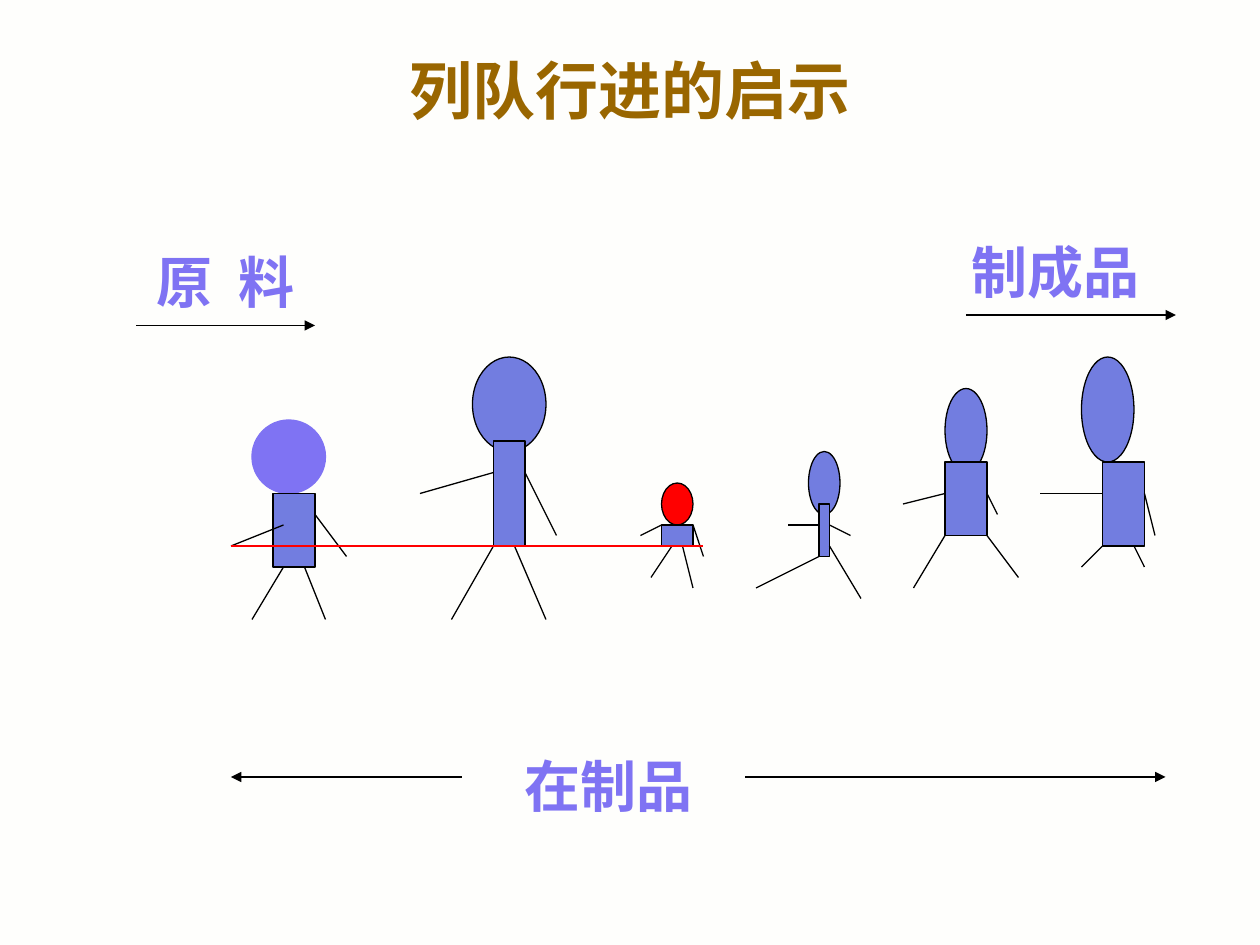
import pptx
import pptx.util
from pptx.dml.color import RGBColor
from pptx.enum.shapes import MSO_CONNECTOR, MSO_SHAPE
from pptx.enum.text import MSO_ANCHOR, MSO_AUTO_SIZE, PP_ALIGN
from pptx.oxml.ns import qn
from lxml import etree

COLS = 120
FONT = "Times New Roman"
PAPER = RGBColor(0xFE, 0xFE, 0xFC)
BROWN = RGBColor(0x99, 0x66, 0x00)
VIOLET = RGBColor(0x7F, 0x73, 0xF3)
BLUE = RGBColor(0x72, 0x7D, 0xE0)
RED = RGBColor(0xFF, 0x00, 0x00)
BLACK = RGBColor(0x00, 0x00, 0x00)

# Body box in grid cells; head box and limb ends count from the body's corner.
# Limbs: two legs, then two arms.
WALKERS = [
    dict(body=(26, 47, 4, 7), head=(-2, -7, 7, 7), fill=VIOLET, outline=VIOLET,
         limbs=[(1, 7, -2, 12), (3, 7, 5, 12), (1, 3, -4, 5), (4, 2, 7, 6)]),
    dict(body=(47, 42, 3, 10), head=(-2, -8, 7, 9),
         limbs=[(0, 10, -4, 17), (2, 10, 5, 17), (0, 3, -7, 5), (3, 3, 6, 9)]),
    dict(body=(63, 50, 3, 2), head=(0, -4, 3, 4), fill=RED,
         limbs=[(1, 2, -1, 5), (2, 2, 3, 6), (0, 0, -2, 1), (3, 0, 4, 3)]),
    dict(body=(78, 48, 1, 5), head=(-1, -5, 3, 6),
         limbs=[(0, 5, -6, 8), (1, 4, 4, 9), (0, 2, -3, 2), (1, 2, 3, 3)]),
    dict(body=(90, 44, 4, 7), head=(0, -7, 4, 8),
         limbs=[(0, 7, -3, 12), (4, 7, 7, 11), (0, 3, -4, 4), (4, 3, 5, 5)]),
    dict(body=(105, 44, 4, 8), head=(-2, -10, 5, 10),
         limbs=[(0, 8, -2, 10), (3, 8, 4, 10), (0, 3, -6, 3), (4, 3, 5, 7)]),
]

prs = pptx.Presentation()
prs.slide_width = pptx.util.Inches(10)
prs.slide_height = pptx.util.Inches(7.5)


def grid(*cells):
    """Turn counts of grid cells into slide lengths."""
    return [round(n * prs.slide_width / COLS) for n in cells]


def format_text(tf, text, size, color):
    tf.word_wrap = True
    tf.text = text
    p = tf.paragraphs[0]
    p.alignment = PP_ALIGN.CENTER
    p.font.name = FONT
    p.font.size = pptx.util.Pt(size)
    p.font.bold = True
    p.font.color.rgb = color


def add_title(s, box, text):
    title = s.shapes.title
    title.left, title.top, title.width, title.height = grid(*box)
    title.text_frame.vertical_anchor = MSO_ANCHOR.MIDDLE
    format_text(title.text_frame, text, 36, BROWN)


def add_label(s, box, text, spacing=0):
    """Add a violet caption; spacing is extra letter space in points."""
    tf = s.shapes.add_textbox(*grid(*box)).text_frame
    format_text(tf, text, 32, VIOLET)
    tf.auto_size = MSO_AUTO_SIZE.SHAPE_TO_FIT_TEXT
    if spacing:
        tf.paragraphs[0].runs[0].font._element.set("spc", str(spacing * 100))


def add_line(s, ends, color=BLACK, arrow=False):
    line = s.shapes.add_connector(MSO_CONNECTOR.STRAIGHT, *grid(*ends))
    line.line.color.rgb = color
    line.line.width = pptx.util.Pt(0.75)
    if arrow:
        etree.SubElement(line.line._get_or_add_ln(), qn("a:tailEnd"), type="triangle")
    etree.SubElement(line._element.spPr, qn("a:effectLst"))


def add_part(s, kind, box, fill, outline=BLACK):
    sp = s.shapes.add_shape(kind, *grid(*box))
    sp.shadow.inherit = False
    sp.fill.solid()
    sp.fill.fore_color.rgb = fill
    sp.line.color.rgb = outline
    sp.line.width = pptx.util.Pt(0.75)


def add_walker(s, body, head, limbs, fill=BLUE, outline=BLACK):
    """Draw one marcher; fill and outline colour the head."""
    x, y = body[:2]
    add_part(s, MSO_SHAPE.OVAL, (x + head[0], y + head[1], *head[2:]), fill, outline)
    add_part(s, MSO_SHAPE.RECTANGLE, body, BLUE)
    for x1, y1, x2, y2 in limbs:
        add_line(s, (x + x1, y + y1, x + x2, y + y2))


def main():
    s = prs.slides.add_slide(prs.slide_layouts[5])
    s.background.fill.solid()
    s.background.fill.fore_color.rgb = PAPER

    add_title(s, (0, 3, COLS, 11), "列队行进的启示")
    for walker in WALKERS:
        add_walker(s, **walker)

    add_label(s, (12, 23, 19, 7.7), "原 料", spacing=4)
    add_label(s, (91, 22, 19, 7.7), "制成品")
    add_label(s, (45, 71, 26, 7.7), "在制品")
    for ends in [(13, 31, 30, 31), (92, 30, 112, 30),
                 (44, 74, 22, 74), (71, 74, 111, 74)]:
        add_line(s, ends, arrow=True)
    add_line(s, (22, 52, 67, 52), color=RED)

    prs.save("out.pptx")


if __name__ == "__main__":
    main()
